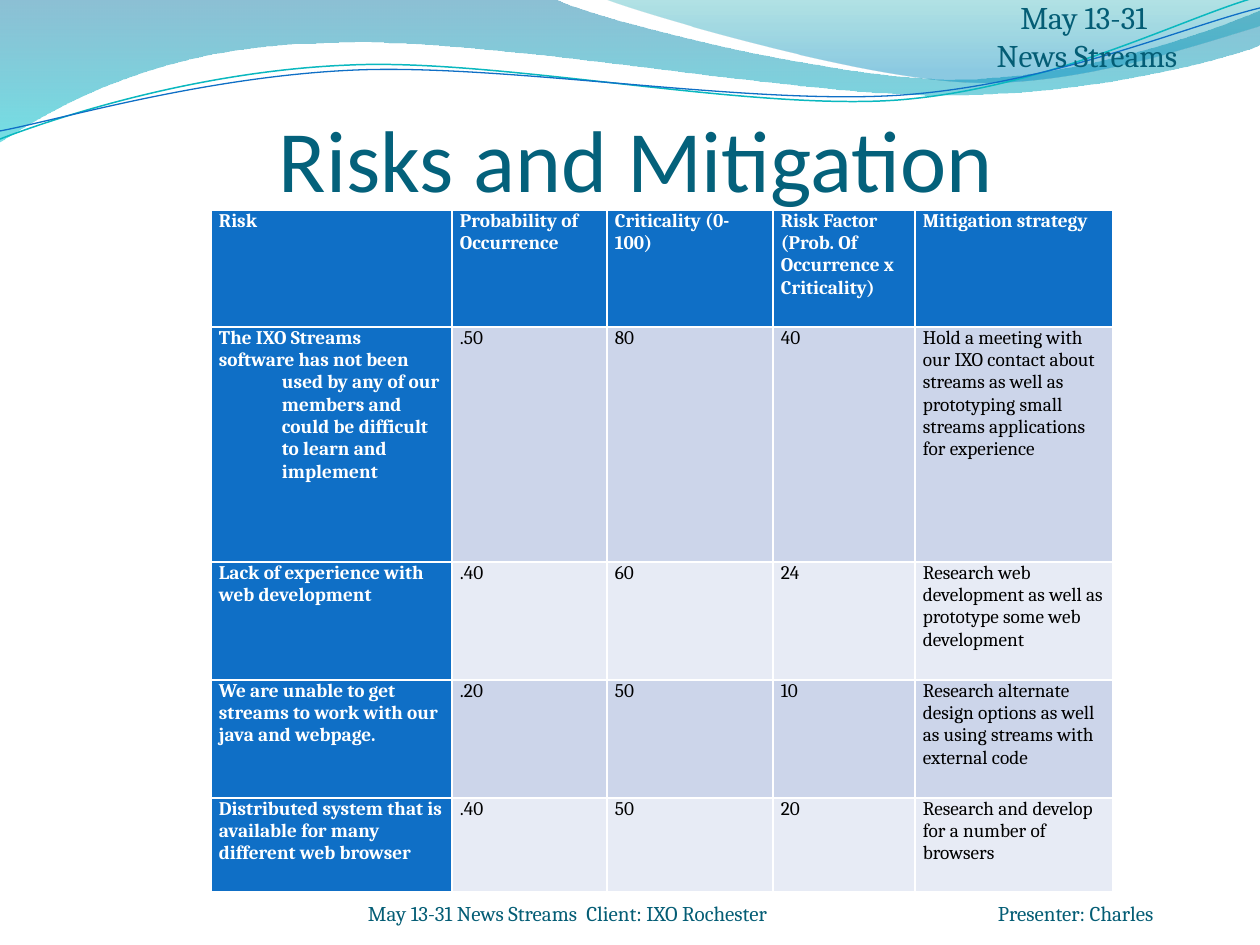
from pptx import Presentation
from pptx.dml.color import RGBColor
from pptx.enum.text import MSO_ANCHOR, MSO_AUTO_SIZE, PP_ALIGN
from pptx.oxml.ns import qn
from pptx.util import Pt
from lxml.etree import SubElement

PX = 914400 / 126
BLUE = RGBColor(0x0F, 0x6F, 0xC6)
TEAL = RGBColor(0x0A, 0xB8, 0xBF)
TITLE = RGBColor(0x04, 0x61, 0x7B)
INK = RGBColor(0x04, 0x5D, 0x75)
WHITE = RGBColor(0xFF, 0xFF, 0xFF)
BLACK = RGBColor(0, 0, 0)
BANDS = [RGBColor(0xCC, 0xD5, 0xEA), RGBColor(0xE7, 0xEB, 0xF5)]

prs = Presentation()
prs.slide_width, prs.slide_height = round(1260 * PX), round(945 * PX)
s = prs.slides.add_slide(prs.slide_layouts[5])


def add_curve(start, segments, close):
    """Draw line (2 numbers) and Bezier (6 numbers) segments."""
    points = [pt for seg in segments for pt in zip(seg[::2], seg[1::2])]
    fb = s.shapes.build_freeform(*start, scale=PX)
    fb.add_line_segments(points, close=close)
    sp = fb.convert_to_shape()
    sp.shadow.inherit = False
    # Join each three points of a Bezier segment into one curve
    steps = iter(list(sp.element.iter(qn("a:lnTo"))))
    for seg in segments:
        step = next(steps)
        if len(seg) == 6:
            curve = step.makeelement(qn("a:cubicBezTo"))
            step.addprevious(curve)
            for part in (step, next(steps), next(steps)):
                curve.append(part[0])
                part.getparent().remove(part)
    return sp


def write(tf, lines, align=None, **fmt):
    """Fill a text frame with one paragraph per line."""
    tf.word_wrap = True
    for i, line in enumerate(lines):
        p = tf.paragraphs[0] if i == 0 else tf.add_paragraph()
        p.alignment = align
        r = p.add_run()
        r.text = line
        r.font.color.rgb = fmt["color"]
        for name in ("name", "size", "bold"):
            setattr(r.font, name, fmt.get(name))


# Waves at the top: start, segments, gradient stops (colour, position, opacity)
waves = [
    ((0, 0), [(554, -1), (600, 21, 837, 79, 955, 79), (1075, 79, 1207, 33, 1260, 11),
              (1261, 45), (1239, 55, 1096, 96, 940, 95), (784, 95, 481, 35, 324, 43),
              (163, 45, 58, 105, -1, 142)],
     [("0074A1", 0, 45), ("00C6CF", 1, 55)]),
    ((604, -1), [(641, 14, 859, 78, 969, 82), (1079, 87, 1211, 40, 1260, 26), (1260, 0)],
     [("00A1A9", 0, 30), ("008BBF", 0.8, 45)]),
]
for start, segments, stops in waves:
    sp = add_curve(start, segments, True)
    sp.line.fill.background()
    sp.fill.gradient()
    sp.fill.gradient_angle = 270
    for stop, (rgb, pos, opacity) in zip(sp.fill.gradient_stops, stops):
        stop.color.rgb = RGBColor.from_string(rgb)
        stop.position = pos
    for clr, (_, _, opacity) in zip(sp.element.spPr.iter(qn("a:srgbClr")), stops):
        SubElement(clr, qn("a:alpha"), val=str(opacity * 1000))

# Thin wave lines
wave_lines = [
    ((0, 139), [(60, 116, 199, 71, 349, 65), (498, 58, 747, 111, 898, 100),
                (1050, 88, 1182, 18, 1257, -3)], TEAL, 0.85),
    ((0, 131), [(59, 120, 207, 76, 357, 70), (508, 64, 752, 106, 903, 95),
                (1053, 84, 1186, 26, 1260, 8)], BLUE, 0.75),
]
for start, segments, color, width in wave_lines:
    sp = add_curve(start, segments, False)
    sp.fill.background()
    sp.line.color.rgb = color
    sp.line.width = Pt(width)

# Title, footer and corner label
title = s.shapes.title
tree = title.element.getparent()
tree.append(title.element)
footer = s.shapes.add_textbox(0, 0, 0, 0)
corner = s.shapes.add_textbox(0, 0, 0, 0)
texts = [
    (title, (64, 53, 1144, 157), 6, ["Risks and Mitigation"], PP_ALIGN.CENTER,
     dict(name="Calibri", size=Pt(50), color=TITLE)),
    (footer, (368, 876, 840, 50), 0,
     ["May 13-31 News Streams  Client: IXO Rochester \tPresenter: Charles"], PP_ALIGN.LEFT,
     dict(name="Cambria", size=Pt(12), color=INK)),
    (corner, (914, 0, 346, 74), 0, ["May 13-31 ", "News Streams"], PP_ALIGN.CENTER,
     dict(name="Cambria", size=Pt(18), color=INK)),
]
for sp, box, top, lines, align, fmt in texts:
    sp.left, sp.top, sp.width, sp.height = [round(v * PX) for v in box]
    tf = sp.text_frame
    tf.auto_size = MSO_AUTO_SIZE.NONE
    tf.vertical_anchor = MSO_ANCHOR.BOTTOM
    tf.margin_left = tf.margin_right = tf.margin_bottom = 0
    tf.margin_top = round(top * PX)
    write(tf, lines, align, **fmt)

# Tab stop before the presenter
tabs = SubElement(footer.text_frame.paragraphs[0]._p.get_or_add_pPr(), qn("a:tabLst"))
SubElement(tabs, qn("a:tab"), pos=str(round(630 * PX)), algn="l")

# Risk table
rows = [
    ["Risk", "Probability of Occurrence", "Criticality (0-100)",
     "Risk Factor (Prob. Of Occurrence x Criticality)", "Mitigation strategy"],
    ["The IXO Streams\nsoftware has not been used by any of our members and could be "
     "difficult to learn and implement", ".50", "80", "40",
     "Hold a meeting with our IXO contact about streams as well as prototyping small "
     "streams applications for experience"],
    ["Lack of experience with web development", ".40", "60", "24",
     "Research web development as well as prototype some web development"],
    ["We are unable to get streams to work with our java and webpage.", ".20", "50", "10",
     "Research alternate design options as well as using streams with external code"],
    ["Distributed system that is available for many different web browser", ".40", "50", "20",
     "Research and develop for a number of browsers"],
]
col_widths = [241, 155, 166, 142, 198]
row_heights = [117, 235, 118, 118, 94]
box = (211, 210, sum(col_widths), sum(row_heights))
table = s.shapes.add_table(5, 5, *[round(v * PX) for v in box]).table
table.first_col = True
for col, w in zip(table.columns, col_widths):
    col.width = round(w * PX)
for row, h in zip(table.rows, row_heights):
    row.height = round(h * PX)

for i, row in enumerate(rows):
    for j, text in enumerate(row):
        cell = table.cell(i, j)
        head = i == 0 or j == 0
        cell.margin_left = cell.margin_right = round(8 * PX)
        cell.margin_top = cell.margin_bottom = 0
        cell.fill.solid()
        cell.fill.fore_color.rgb = BLUE if head else BANDS[(i - 1) % 2]
        write(cell.text_frame, text.split("\n"), name="Cambria", size=Pt(11),
              bold=head, color=WHITE if head else BLACK)

# Hanging indent of the first risk
for p in table.cell(1, 0).text_frame.paragraphs:
    pPr = p._p.get_or_add_pPr()
    pPr.set("marL", str(round(63 * PX)))
    pPr.set("indent", str(round(-63 * PX)))

# Corner label in front
tree.append(corner.element)

prs.save("out.pptx")
